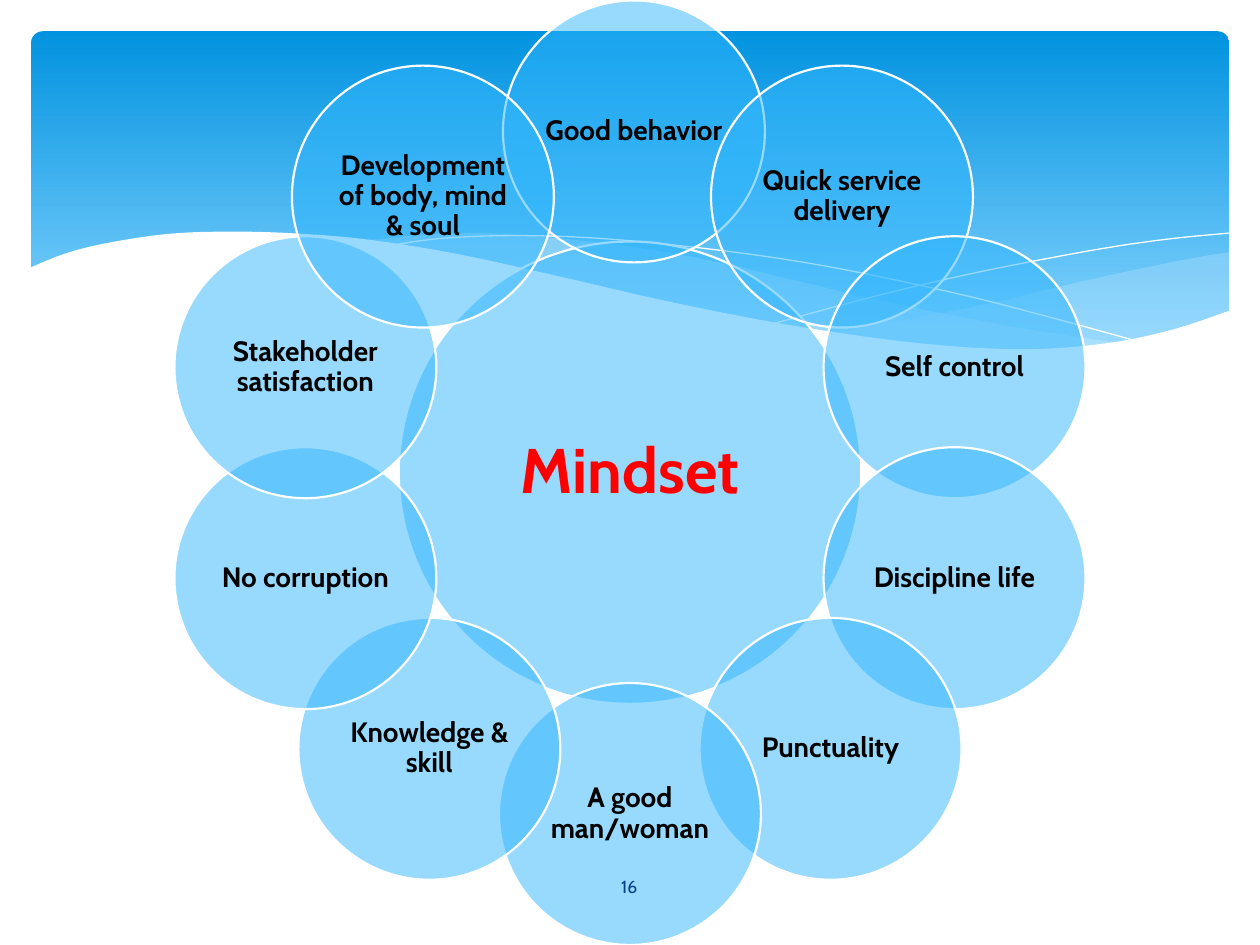
import math

import pptx
import pptx.dml.color
import pptx.enum.shapes
import pptx.enum.text
import pptx.oxml.ns
import pptx.util
from lxml import etree

Cm = pptx.util.Cm
COLORS = {
    "sky_dark": "0293E0", "sky_light": "83D3FE", "pale": "C6E7FC",
    "circle": "31B6FD", "white": "FFFFFF", "black": "000000",
    "red": "FF0000", "navy": "073E87",
}


def smooth(knots, steps=8):
    """Points of a Catmull-Rom curve through the knots."""
    padded = [knots[0], *knots, knots[-1]]
    points = [knots[0]]
    for a, b, c, d in zip(padded, padded[1:], padded[2:], padded[3:]):
        for step in range(1, steps + 1):
            t = step / steps
            points.append(tuple(
                0.5 * (2 * q + (r - p) * t + (2 * p - 5 * q + 4 * r - s) * t ** 2
                       + (3 * q - p - 3 * r + s) * t ** 3)
                for p, q, r, s in zip(a, b, c, d)))
    return points


class SlideBuilder:
    font = "Cabin"

    def __init__(self, page):
        self.page = page

    def color(self, name):
        return pptx.dml.color.RGBColor.from_string(COLORS[name])

    def paint(self, shape, fill=None, opacity=100, line=None, width=0):
        shape.shadow.inherit = False
        if fill:
            shape.fill.solid()
            shape.fill.fore_color.rgb = self.color(fill)
            if opacity < 100:
                tone = shape.fill._xPr.find(".//" + pptx.oxml.ns.qn("a:srgbClr"))
                alpha = etree.SubElement(tone, pptx.oxml.ns.qn("a:alpha"))
                alpha.set("val", str(opacity * 1000))
        else:
            shape.fill.background()
        if line:
            shape.line.color.rgb = self.color(line)
            shape.line.width = pptx.util.Pt(width)
        else:
            shape.line.fill.background()

    def banner(self, left, top, width, height):
        box = self.page.shapes.add_shape(
            pptx.enum.shapes.MSO_SHAPE.ROUNDED_RECTANGLE,
            Cm(left), Cm(top), Cm(width), Cm(height))
        box.adjustments[0] = 0.034
        self.paint(box)
        box.fill.gradient()
        box.fill.gradient_angle = 270
        stops = (("sky_dark", 0), ("sky_light", 0.9))
        for stop, (name, position) in zip(box.fill.gradient_stops, stops):
            stop.color.rgb = self.color(name)
            stop.position = position

    def outline(self, points, closed=True, **style):
        emu = [(Cm(x), Cm(y)) for x, y in points]
        builder = self.page.shapes.build_freeform(*emu[0])
        builder.add_line_segments(emu[1:], close=closed)
        self.paint(builder.convert_to_shape(), **style)

    def text(self, box, wording, size, color, inset, bold=True, spacing=0.9):
        frame = box.text_frame
        frame.word_wrap = True
        frame.vertical_anchor = pptx.enum.text.MSO_ANCHOR.MIDDLE
        frame.margin_left = frame.margin_right = Cm(inset)
        frame.margin_top = frame.margin_bottom = Cm(inset)
        para = frame.paragraphs[0]
        para.alignment = pptx.enum.text.PP_ALIGN.CENTER
        para.line_spacing = spacing
        span = para.add_run()
        span.text = wording
        span.font.name = self.font
        span.font.size = pptx.util.Pt(size)
        span.font.bold = bold
        span.font.color.rgb = self.color(color)

    def circle(self, x, y, diameter, wording, size, color, inset):
        box = self.page.shapes.add_shape(
            pptx.enum.shapes.MSO_SHAPE.OVAL, Cm(x - diameter / 2),
            Cm(y - diameter / 2), Cm(diameter), Cm(diameter))
        self.paint(box, "circle", 50, "white", 1.25)
        self.text(box, wording, size, color, inset)

    def page_number(self, left, top, width, height, wording):
        box = self.page.shapes.add_textbox(
            Cm(left), Cm(top), Cm(width), Cm(height))
        self.text(box, wording, 10, "navy", 0.13, bold=False, spacing=1)


# Wave edges, as knots in centimetres
RIGHT_TOP = [(24.79, 5.08), (23.75, 5.26), (21.87, 5.66), (19.79, 6.15),
             (16.79, 6.73)]
RIGHT_BOTTOM = [(16.79, 6.73), (17.91, 6.88), (19.23, 7.01), (20.68, 7.06),
                (21.92, 6.99), (22.99, 6.83), (23.93, 6.58), (24.79, 6.27)]
MIDDLE_TOP = [(22.68, 6.93), (20.5, 6.6), (17.93, 6.1), (15.98, 5.64),
              (14.45, 5.28), (12.75, 4.98), (10.67, 4.75), (9.17, 4.7),
              (7.26, 4.85)]
MIDDLE_BOTTOM = [(7.26, 4.85), (8.69, 5.05), (10.26, 5.36), (12.47, 5.89),
                 (14.83, 6.4), (16.89, 6.76), (18.69, 6.99), (20.5, 7.06),
                 (21.77, 7.04), (22.68, 6.93)]
FALLING_LINE = [(7.85, 4.95), (8.97, 4.8), (10.57, 4.75), (12.42, 4.83),
                (14.78, 5.08), (16.89, 5.41), (19.3, 5.92), (21.11, 6.38),
                (23.04, 6.91)]
RISING_LINE = [(15.57, 6.53), (17.65, 5.97), (19.71, 5.49), (22, 5.05),
               (23.47, 4.83), (24.77, 4.7)]
WHITE_TOP = [(24.82, 6.25), (23.62, 6.65), (22.23, 6.93), (20.55, 7.04),
             (18.44, 6.91), (15.9, 6.55), (13.44, 6.07), (11.35, 5.59),
             (9.27, 5.13), (7.42, 4.83), (5.84, 4.7), (4.5, 4.67),
             (3.35, 4.72), (2.16, 4.9), (1.32, 5.11), (0.58, 5.41)]

# Ring labels clockwise from the top, each with its sideways shift
RING = [
    ("Good behavior", 0.08), ("Quick service delivery", 0.23),
    ("Self control", 0), ("Discipline life", 0), ("Punctuality", 0),
    ("A good man/woman", 0), ("Knowledge & skill", 0), ("No corruption", 0),
    ("Stakeholder satisfaction", 0), ("Development of body, mind & soul", -0.13),
]
CENTER_X, CENTER_Y, RING_RADIUS = 12.7, 9.53, 6.88


def main():
    deck = pptx.Presentation()
    deck.slide_width, deck.slide_height = Cm(25.4), Cm(19.05)
    slide = SlideBuilder(deck.slides.add_slide(deck.slide_layouts[6]))

    # Banner with waves
    slide.banner(0.63, 0.63, 24.15, 6.86)
    slide.outline(smooth(RIGHT_TOP) + smooth(RIGHT_BOTTOM),
                  fill="pale", opacity=29)
    slide.outline(smooth(MIDDLE_TOP) + smooth(MIDDLE_BOTTOM),
                  fill="pale", opacity=40)
    for knots in (FALLING_LINE, RISING_LINE):
        slide.outline(smooth(knots), closed=False, line="white")
    slide.outline(smooth(WHITE_TOP) + [(0.58, 8.36), (24.82, 8.36)], fill="white")

    # Hub and ring of circles
    slide.circle(CENTER_X, CENTER_Y, 9.32, "Mindset", 36, "red", 0.13)
    for index, (label, shift) in enumerate(RING):
        angle = math.tau * index / len(RING)
        slide.circle(CENTER_X + RING_RADIUS * math.sin(angle) + shift,
                     CENTER_Y - RING_RADIUS * math.cos(angle),
                     5.28, label, 16, "black", 0.05)

    # Slide number
    slide.page_number(11.07, 17.37, 3.23, 1.02, "16")
    deck.save("out.pptx")


if __name__ == "__main__":
    main()
